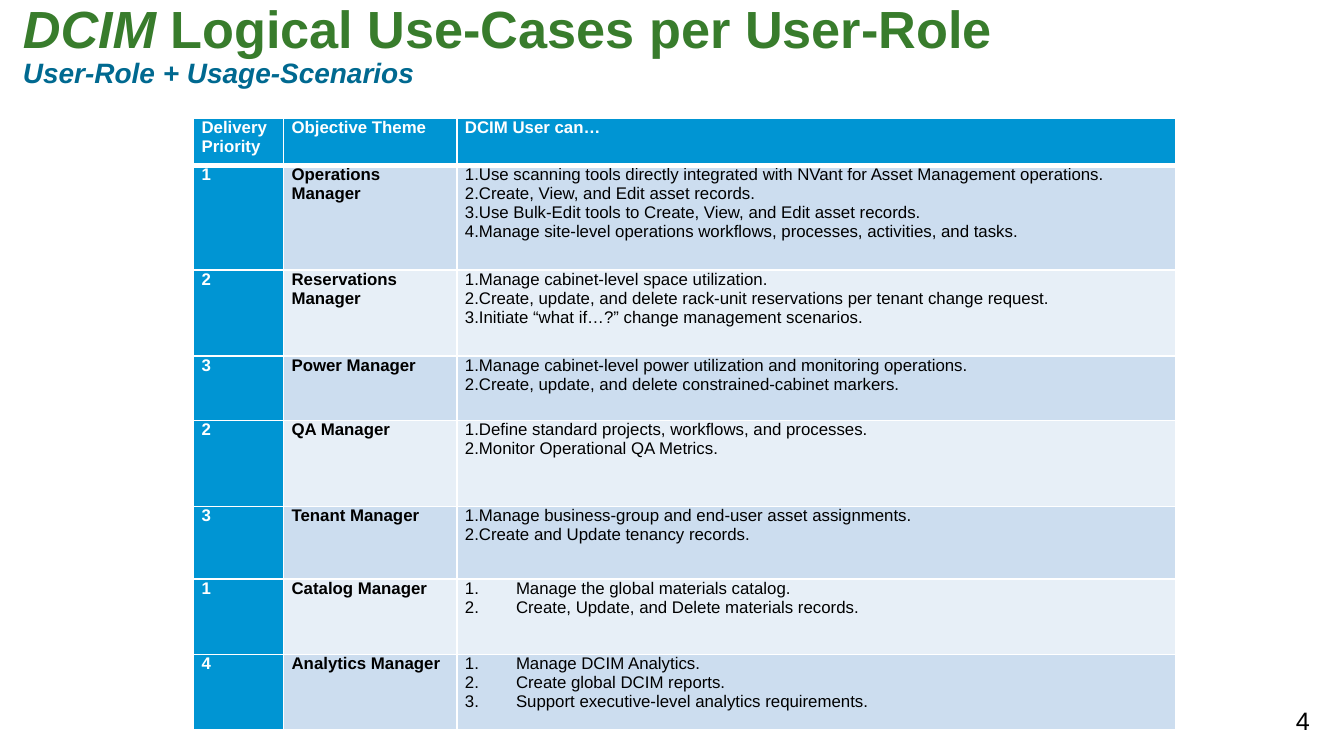
"""Build the slide of data centre use cases per user role."""
from lxml import etree
from pptx import Presentation
from pptx import util as u
from pptx.dml.color import RGBColor
from pptx.enum import text
from pptx.oxml.ns import qn

SLIDE_WIDTH = 10
SLIDE_HEIGHT = SLIDE_WIDTH * 9 / 16
GREEN, TEAL, BLUE = "387C2C", "006990", "0095D3"
WHITE, BLACK = "FFFFFF", "000000"
BANDS = ("CCDDEF", "E7EFF7")
HANGING = 0.38

TITLE = [
    [("DCIM ", dict(size=28, color=GREEN, bold=True, italic=True)),
     ("Logical Use-Cases per User-Role", dict(size=28, color=GREEN, bold=True))],
    [("User-Role + Usage-Scenarios", dict(size=15, color=TEAL, bold=True, italic=True))],
]
PAGE_NUMBER = "4"
HEADERS = ("Delivery Priority", "Objective Theme", "DCIM User can…")
COLUMN_WIDTHS = (0.67, 1.29, 5.35)
HEADER_HEIGHT = 0.35
ROLES = [
    ("1", "Operations Manager", 0.78, 0, [
        "Use scanning tools directly integrated with NVant for Asset Management operations.",
        "Create, View, and Edit asset records.",
        "Use Bulk-Edit tools to Create, View, and Edit asset records.",
        "Manage site-level operations workflows, processes, activities, and tasks."]),
    ("2", "Reservations Manager", 0.64, 0, [
        "Manage cabinet-level space utilization.",
        "Create, update, and delete rack-unit reservations per tenant change request.",
        "Initiate “what if…?” change management scenarios."]),
    ("3", "Power Manager", 0.48, 0, [
        "Manage cabinet-level power utilization and monitoring operations.",
        "Create, update, and delete constrained-cabinet markers."]),
    ("2", "QA Manager", 0.64, 0, [
        "Define standard projects, workflows, and processes.",
        "Monitor Operational QA Metrics."]),
    ("3", "Tenant Manager", 0.54, 0, [
        "Manage business-group and end-user asset assignments.",
        "Create and Update tenancy records."]),
    ("1", "Catalog Manager", 0.56, HANGING, [
        "Manage the global materials catalog.",
        "Create, Update, and Delete materials records."]),
    ("4", "Analytics Manager", 0.56, HANGING, [
        "Manage DCIM Analytics.",
        "Create global DCIM reports.",
        "Support executive-level analytics requirements."]),
]


def rgb(color):
    """Turn a hex string into a colour."""
    return RGBColor.from_string(color)


def add_text(paragraph, words, size=9, color=BLACK, bold=False, italic=False):
    """Add a formatted run to a paragraph."""
    run = paragraph.add_run()
    run.text = words
    font = run.font
    font.name, font.size, font.bold, font.italic = "Arial", u.Pt(size), bold, italic
    font.color.rgb = rgb(color)


def paragraphs(frame, count):
    """Return the given number of paragraphs of a text frame."""
    return [frame.paragraphs[0]] + [frame.add_paragraph() for _ in range(count - 1)]


def set_frame(frame, anchor):
    """Give a text frame no margins, wrapping and an anchor."""
    frame.margin_left = frame.margin_top = frame.margin_right = frame.margin_bottom = 0
    frame.word_wrap = True
    frame.auto_size = text.MSO_AUTO_SIZE.NONE
    frame.vertical_anchor = anchor


def number(paragraph, indent):
    """Number a paragraph with a hanging indent."""
    properties = paragraph._p.get_or_add_pPr()
    properties.set("marL", str(u.Inches(indent)))
    properties.set("indent", str(u.Inches(-HANGING)))
    etree.SubElement(properties, qn("a:buFont"), typeface="+mj-lt")
    etree.SubElement(properties, qn("a:buAutoNum"), type="arabicPeriod")


def fill_cell(cell, lines, fill, bottom=1, after=0, indent=None, **style):
    """Write the lines into a cell with its borders and fill."""
    cell.margin_left = cell.margin_right = u.Inches(0.06)
    cell.margin_top = cell.margin_bottom = 0
    properties = cell._tc.get_or_add_tcPr()
    for side, width in (("L", 1), ("R", 1), ("T", 1), ("B", bottom)):
        line = etree.SubElement(properties, qn(f"a:ln{side}"), w=str(u.Pt(width)))
        solid = etree.SubElement(line, qn("a:solidFill"))
        etree.SubElement(solid, qn("a:srgbClr"), val=WHITE)
    cell.fill.solid()
    cell.fill.fore_color.rgb = rgb(fill)
    for paragraph, words in zip(paragraphs(cell.text_frame, len(lines)), lines):
        paragraph.space_after = u.Pt(after)
        if indent is not None:
            number(paragraph, indent)
        add_text(paragraph, words, **style)


def add_title(slide):
    """Place and write the title and its subtitle line."""
    title = slide.shapes.title
    title.left, title.top = u.Inches(0.17), u.Inches(0)
    title.width, title.height = u.Inches(8.58), u.Inches(0.67)
    set_frame(title.text_frame, text.MSO_ANCHOR.BOTTOM)
    for paragraph, runs in zip(paragraphs(title.text_frame, len(TITLE)), TITLE):
        paragraph.alignment = text.PP_ALIGN.LEFT
        paragraph.line_spacing = 0.9
        paragraph.space_before = u.Pt(0)
        for words, style in runs:
            add_text(paragraph, words, **style)


def add_role_table(slide):
    """Add the table of roles, one row for each."""
    heights = [HEADER_HEIGHT] + [role[2] for role in ROLES]
    table = slide.shapes.add_table(
        len(heights), len(HEADERS), u.Inches(1.44), u.Inches(0.88),
        u.Inches(sum(COLUMN_WIDTHS)), u.Inches(sum(heights))).table
    for column, width in zip(table.columns, COLUMN_WIDTHS):
        column.width = u.Inches(width)
    for row, height in zip(table.rows, heights):
        row.height = u.Inches(height)
    label = dict(fill=BLUE, after=6, color=WHITE, bold=True)
    for index, header in enumerate(HEADERS):
        fill_cell(table.cell(0, index), [header], bottom=3, **label)
    for index, (priority, theme, _, indent, tasks) in enumerate(ROLES):
        row, band = index + 1, BANDS[index % 2]
        fill_cell(table.cell(row, 0), [priority], **label)
        fill_cell(table.cell(row, 1), [theme], band, bold=True)
        fill_cell(table.cell(row, 2), tasks, band, indent=indent)


def add_page_number(slide):
    """Add the page number at the lower right."""
    box = slide.shapes.add_textbox(*map(u.Inches, (9.51, 5.3, 0.37, 0.12)))
    set_frame(box.text_frame, text.MSO_ANCHOR.MIDDLE)
    paragraph = box.text_frame.paragraphs[0]
    paragraph.alignment = text.PP_ALIGN.CENTER
    add_text(paragraph, PAGE_NUMBER, size=13.5)


def main():
    """Build and save the presentation."""
    presentation = Presentation()
    presentation.slide_width = u.Inches(SLIDE_WIDTH)
    presentation.slide_height = u.Inches(SLIDE_HEIGHT)
    slide = presentation.slides.add_slide(presentation.slide_layouts[5])
    add_page_number(slide)
    add_role_table(slide)
    add_title(slide)
    presentation.save("out.pptx")


if __name__ == "__main__":
    main()
